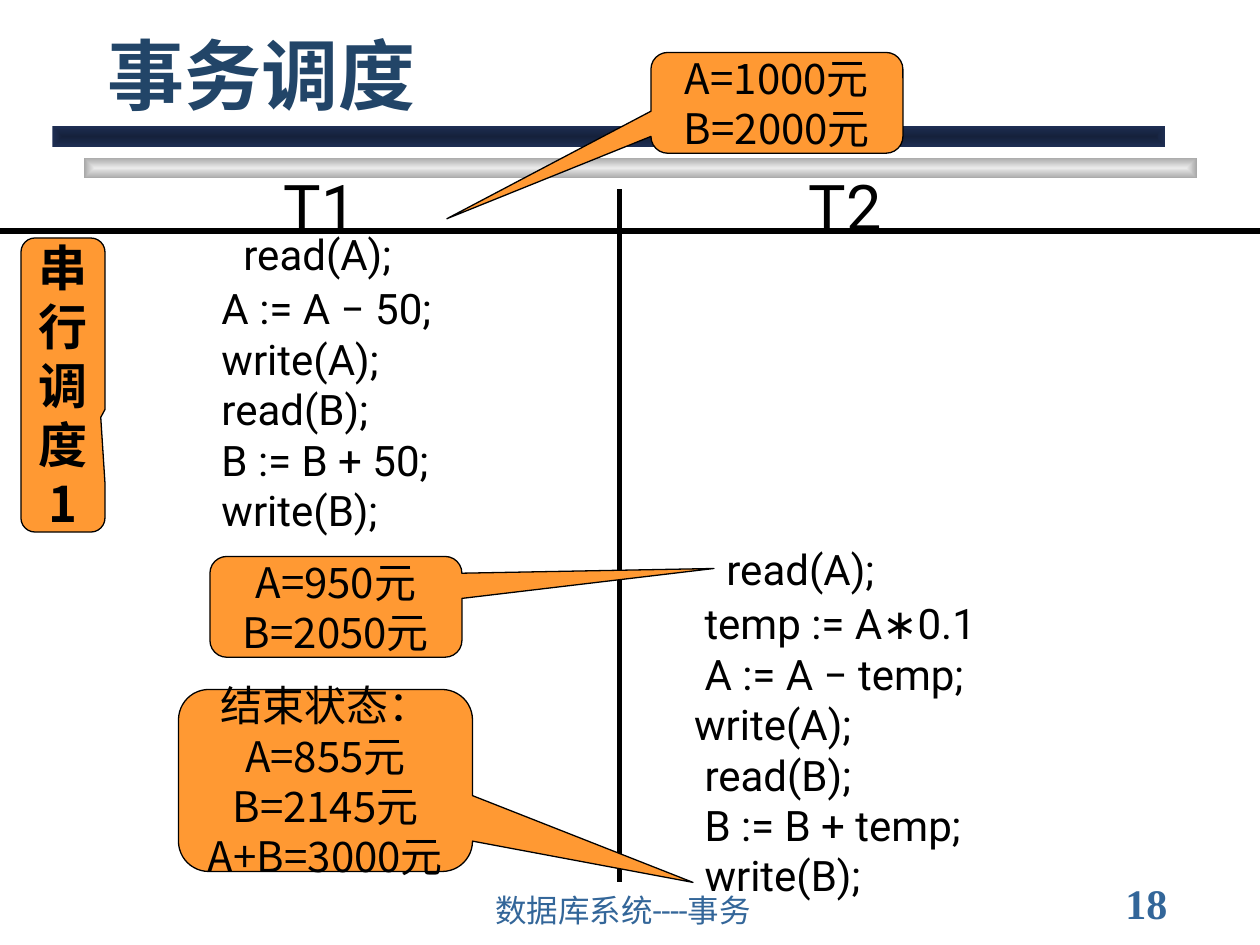
from lxml import etree
from pptx import Presentation
from pptx.dml.color import RGBColor
from pptx.enum.shapes import MSO_CONNECTOR as CONNECTOR, MSO_SHAPE as SHAPE
from pptx.enum.text import MSO_ANCHOR as ANCHOR, PP_ALIGN as ALIGN
from pptx.oxml import parse_xml
from pptx.oxml.ns import nsdecls, qn
from pptx.util import Pt

COLORS = {
    "ink": "000000",
    "title": "224568",
    "footer": "336699",
    "callout": "FF9933",
    "silver_core": "EAEAEA",
    "silver_edge": "A7A7A7",
    "navy_core": "15213B",
    "navy_edge": "1E2E53",
}
CJK = "Noto Sans CJK JP"


def color(name):
    return RGBColor.from_string(COLORS[name])


def place(box):
    return [Pt(length) for length in box]


def style(paragraph, ink="ink", **values):
    for name, value in values.items():
        setattr(paragraph.font, name, value)
    paragraph.font.color.rgb = color(ink)


def write(frame, lines, align=ALIGN.LEFT, **values):
    frame.text = "\n".join(lines)
    for paragraph in frame.paragraphs:
        paragraph.alignment = align
        style(paragraph, **values)
        if values["name"] == CJK:
            for run in paragraph.runs:
                run.font.name = CJK
                east = etree.SubElement(run.font._element, qn("a:ea"))
                east.set("typeface", CJK)


def add_text(slide, box, lines, anchor=ANCHOR.TOP, wrap=True, **values):
    frame = slide.shapes.add_textbox(*place(box)).text_frame
    frame.word_wrap = wrap
    frame.vertical_anchor = anchor
    write(frame, lines, **values)
    return frame


def add_bar(slide, box, core, edge):
    bar = slide.shapes.add_shape(SHAPE.RECTANGLE, *place(box))
    bar.shadow.inherit = False
    bar.line.fill.background()
    gradient = parse_xml(
        f'<a:gradFill {nsdecls("a")} rotWithShape="1"><a:gsLst>'
        f'<a:gs pos="0"><a:srgbClr val="{COLORS[core]}"/></a:gs>'
        f'<a:gs pos="100000"><a:srgbClr val="{COLORS[edge]}"/></a:gs></a:gsLst>'
        '<a:path path="rect"><a:fillToRect l="50000" t="50000" r="50000" b="50000"/>'
        "</a:path></a:gradFill>"
    )
    bar._element.spPr.find(qn("a:prstGeom")).addnext(gradient)


def add_header(slide, box):
    left, top, width, height = box
    add_bar(slide, (left + 18, top + 90, width, 12), "silver_core", "silver_edge")
    add_bar(slide, (left, top + 72, width, 12), "navy_core", "navy_edge")
    title = slide.shapes.title
    title.left, title.top, title.width, title.height = place((left + 24, top + 12, 612, 60))
    title.text_frame.vertical_anchor = ANCHOR.BOTTOM
    write(title.text_frame, ["事务调度"], name="Arial", size=Pt(44), bold=True, ink="title")


def add_footer(slide, box):
    left, top, width, height = box
    add_text(slide, (left + 360, top, 78, height), ["18"], ANCHOR.MIDDLE, False,
             name="Times New Roman", size=Pt(24), bold=True, ink="footer")
    add_text(slide, (left, top + 6, 294, height), ["数据库系统----事务"], ANCHOR.BOTTOM,
             name="Roboto", size=Pt(18), ink="footer")


def add_steps(slide, box, steps):
    frame = add_text(slide, box, [text for text, _ in steps], name="Roboto", size=Pt(24))
    frame.margin_top = Pt(12.8)
    for paragraph, (_, indent) in zip(frame.paragraphs, steps):
        paragraph._p.get_or_add_pPr().set("marL", str(Pt(indent)))
    frame.paragraphs[0].space_after = Pt(2)


def add_rule(slide, start, end):
    rule = slide.shapes.add_connector(CONNECTOR.STRAIGHT, *place(start + end))
    rule.line.color.rgb = color("ink")
    rule.line.width = Pt(3)
    etree.SubElement(rule._element.spPr, qn("a:effectLst"))


def add_schedule(slide, box, transactions):
    left, top, width, height = box
    add_rule(slide, (left, top + 24), (left + width, top + 24))
    add_rule(slide, (left + 354, top), (left + 354, top + height))
    for name, head_left, steps_box, steps in transactions:
        add_steps(slide, steps_box, steps)
        add_text(slide, (left + head_left, top - 16, 78, 50), [name],
                 align=ALIGN.CENTER, name="Roboto", size=Pt(36))


def add_callout(slide, box, tip, lines, size=24, bold=False):
    callout = slide.shapes.add_shape(SHAPE.ROUNDED_RECTANGULAR_CALLOUT, *place(box))
    callout.shadow.inherit = False
    for index, value in enumerate((*tip, 0.167)):
        callout.adjustments[index] = value
    callout.fill.solid()
    callout.fill.fore_color.rgb = color("callout")
    callout.line.color.rgb = color("ink")
    callout.line.width = Pt(0.75)
    frame = callout.text_frame
    frame.word_wrap = False
    frame.vertical_anchor = ANCHOR.MIDDLE
    write(frame, lines, ALIGN.CENTER, name=CJK, size=Pt(size), bold=bold)


def main():
    deck = Presentation()
    deck.slide_width, deck.slide_height = Pt(720), Pt(540)
    slide = deck.slides.add_slide(deck.slide_layouts[5])

    first_steps = [("read(A);", 48)] + [
        (text, 35.5)
        for text in ("A := A − 50;", "write(A);", "read(B);", "B := B + 50;", "write(B);")
    ]
    second_steps = [
        ("read(A);", 48),
        ("temp := A∗0.1", 35.5),
        ("A := A − temp;", 35.5),
        ("write(A);", 29.6),
        ("read(B);", 35.5),
        ("B := B + temp;", 35.5),
        ("write(B);", 35.5),
    ]
    transactions = [
        ("T1", 144, (84, 118, 240, 190), first_steps),
        ("T2", 444, (360, 298, 306, 218), second_steps),
    ]
    callouts = [
        ((120, 318, 144, 57.6), (1.5, -0.38), ["A=950元", "B=2050元"]),
        ((102, 394, 168, 104), (1.25, 0.56), ["结束状态：", "A=855元", "B=2145元", "A+B=3000元"]),
        ((12, 136, 48, 168), (0.45, 0.11), list("串行调度1"), 28, True),
        ((372, 30, 144, 57.6), (-1.31, 1.15), ["A=1000元", "B=2000元"]),
    ]

    add_header(slide, (30, 0, 636, 102))
    add_footer(slide, (276, 504, 438, 24))
    add_schedule(slide, (0, 108, 720, 396), transactions)
    for callout in callouts:
        add_callout(slide, *callout)
    deck.save("out.pptx")


if __name__ == "__main__":
    main()
